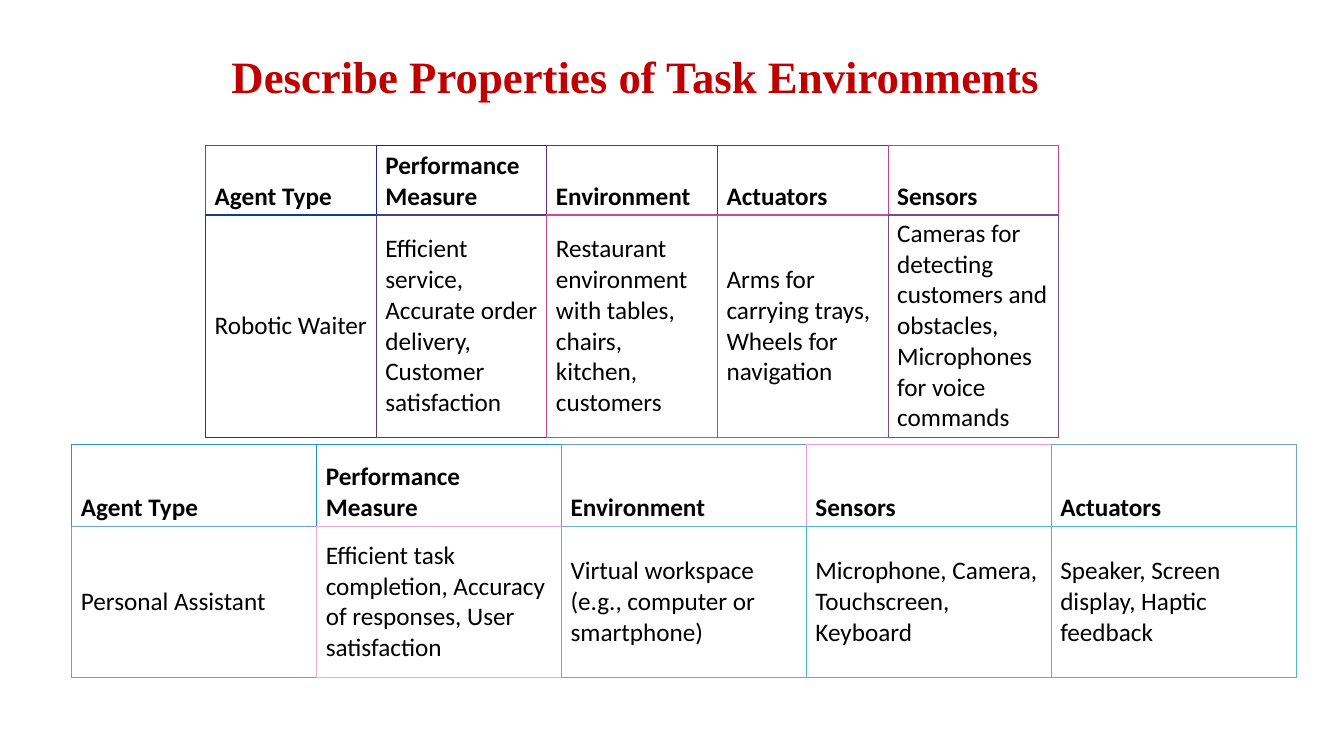
"""Build a slide with two tables of agents and their task environments."""
from lxml import etree
from pptx import Presentation
from pptx.dml.color import RGBColor
from pptx.enum.text import MSO_ANCHOR, PP_ALIGN
from pptx.oxml.ns import qn
from pptx.util import Cm, Pt

TOP, MIDDLE, BOTTOM = MSO_ANCHOR.TOP, MSO_ANCHOR.MIDDLE, MSO_ANCHOR.BOTTOM
CENTER = PP_ALIGN.CENTER
THIN, THICK = Pt(0.6), Pt(1)

TABLES = [
    {
        "at": (5.18, 3.66), "col": 4.3, "rows": (1.76, 5.59),
        "text": [
            ["Agent Type", "Performance Measure", "Environment", "Actuators", "Sensors"],
            ["Robotic Waiter",
             "Efficient service, Accurate order delivery, Customer satisfaction",
             "Restaurant environment with tables, chairs, kitchen, customers",
             "Arms for carrying trays, Wheels for navigation",
             "Cameras for detecting customers and obstacles, Microphones for voice commands"],
        ],
        "lines": [
            ["A02B8F", "20278F", "602F8F", "403A8F", "C0448F"],
            ["103D8F", "503C8F", "D0498F", "C04D8F", "704F8F"],
        ],
    },
    {
        "at": (1.81, 11.2), "col": 6.17, "rows": (2.06, 3.81),
        "text": [
            ["Agent Type", "Performance Measure", "Environment", "Sensors", "Actuators"],
            ["Personal Assistant",
             "Efficient task completion, Accuracy of responses, User satisfaction",
             "Virtual workspace (e.g., computer or smartphone)",
             "Microphone, Camera, Touchscreen, Keyboard",
             "Speaker, Screen display, Haptic feedback"],
        ],
        "lines": [
            ["3094D0", "2092D0", "7099D0", "F0A0D0", "709FD0"],
            ["70A2D0", "F0ACD0", "70AED0", "50B3D0", "50B3D0"],
        ],
    },
]


def paint(color, value):
    color.rgb = RGBColor.from_string(value)


def add_edge(props, side, width, value):
    edge = etree.Element(qn(f"a:{side}"), w=str(width))
    fill = etree.SubElement(edge, qn("a:solidFill"))
    etree.SubElement(fill, qn("a:srgbClr"), val=value)
    props.append(edge)


deck = Presentation()
deck.slide_width, deck.slide_height = Cm(33.87), Cm(19.05)
slide = deck.slides.add_slide(deck.slide_layouts[5])

title = slide.shapes.title
title.left, title.top, title.width, title.height = Cm(3.33), Cm(1.09), Cm(25.37), Cm(4.19)
title.text_frame.text = "Describe Properties of Task Environments"
title.text_frame.vertical_anchor = TOP
head = title.text_frame.paragraphs[0]
head.alignment = CENTER
head.font.name, head.font.size, head.font.bold = "Times New Roman", Pt(32), True
paint(head.font.color, "C00000")

for data in TABLES:
    text, lines = data["text"], data["lines"]
    count = len(text[0])
    left, top = data["at"]
    frame = slide.shapes.add_table(len(text), count, Cm(left), Cm(top),
                                   Cm(data["col"] * count), Cm(sum(data["rows"])))
    table = frame.table
    table.horz_banding = False
    for column in table.columns:
        column.width = Cm(data["col"])
    for r, height in enumerate(data["rows"]):
        table.rows[r].height = Cm(height)
        for c in range(count):
            cell = table.cell(r, c)
            cell.text = text[r][c]
            cell.vertical_anchor = MIDDLE if r else BOTTOM
            cell.margin_left = cell.margin_right = Cm(0.23)
            cell.margin_top = cell.margin_bottom = Cm(0.08)
            font = cell.text_frame.paragraphs[0].font
            font.name, font.size, font.bold = "Calibri", Pt(18), r == 0
            paint(font.color, "000000")

            props = cell._tc.get_or_add_tcPr()
            own = lines[r][c]
            add_edge(props, "lnL", THIN, own)
            add_edge(props, "lnR", THIN, lines[r][min(c + 1, count - 1)])
            add_edge(props, "lnT", THICK if r else THIN, own)
            add_edge(props, "lnB", THIN if r else THICK, lines[1][c])
            cell.fill.solid()
            paint(cell.fill.fore_color, "FFFFFF")

deck.save("out.pptx")
